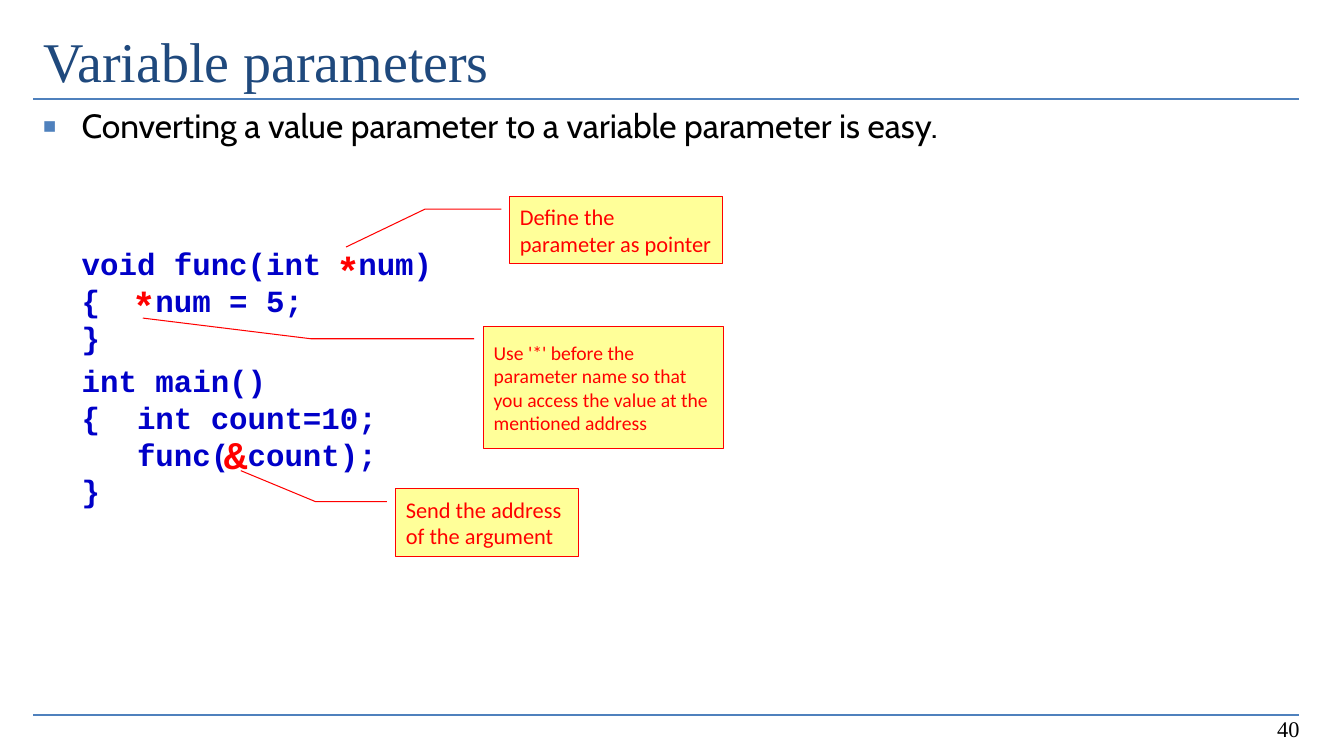
from dataclasses import dataclass

from lxml.etree import SubElement
from pptx import Presentation
from pptx.dml.color import RGBColor
from pptx.enum.shapes import MSO_CONNECTOR, MSO_SHAPE
from pptx.enum.text import MSO_ANCHOR, PP_ALIGN
from pptx.oxml.ns import qn
from pptx.slide import Slide
from pptx.text.text import TextFrame, _Paragraph
from pptx.util import Cm, Pt

COLORS = {
    "title": "1F497D",
    "rule": "4F81BD",
    "body": "000000",
    "code": "0000C8",
    "accent": "FF0000",
    "note": "FFFF99",
}
MARGIN, CONTENT_WIDTH = 0.84, 31.9
TEXT_INDENT = 0.97
CODE_LINE = 26.4
CODE = [
    # text, space before in points
    ("void func(int  num)", 70.5),
    ("{   num = 5;", 0),
    ("}", 0),
    ("int main()", 4.4),
    ("{  int count=10;", 0),
    ("   func( count);", 0),
    ("}", 0),
]


@dataclass(frozen=True)
class Annotation:
    """A note with a leader line, and the code symbol it explains."""
    note: str
    size: float
    box: tuple[float, float, float, float]
    leader: tuple[float, ...]
    symbol: str
    symbol_at: tuple[float, float]


ANNOTATIONS = [
    Annotation("Define the parameter as pointer", 16, (12.85, 4.95, 5.36, 1.7),
               (0.19, -0.04, 0.19, -0.4, 0.75, -0.77), "*", (8.48, 6.2)),
    Annotation("Use '*' before the parameter name so that you access the value "
               "at the mentioned address", 14, (12.19, 8.23, 6.05, 3.07),
               (0.1, -0.04, 0.1, -0.72, -0.07, -1.42), "*", (3.33, 7.09)),
    Annotation("Send the address of the argument", 16, (9.98, 12.32, 4.6, 1.7),
               (0.19, -0.05, 0.19, -0.44, -0.27, -0.85), "&", (5.64, 10.85)),
]


def rgb(name: str) -> RGBColor:
    return RGBColor.from_string(COLORS[name])


def write(paragraph: _Paragraph, text: str, *, size: float, font: str, color: str,
          bold: bool = False, align: PP_ALIGN = PP_ALIGN.LEFT,
          before: float = 0, line: float | None = None) -> None:
    paragraph.alignment = align
    paragraph.space_before = Pt(before)
    if line:
        paragraph.line_spacing = Pt(line)
    run = paragraph.add_run()
    run.text = text
    run.font.size = Pt(size)
    run.font.name = font
    run.font.bold = bold
    run.font.color.rgb = rgb(color)


def add_text_area(slide: Slide, left: float, top: float, width: float, height: float,
                  anchor: MSO_ANCHOR = MSO_ANCHOR.TOP) -> TextFrame:
    frame = slide.shapes.add_textbox(Cm(left), Cm(top), Cm(width), Cm(height)).text_frame
    frame.word_wrap = True
    frame.vertical_anchor = anchor
    return frame


def add_square_bullet(paragraph: _Paragraph) -> None:
    properties = paragraph._p.get_or_add_pPr()
    properties.set("marL", str(Cm(TEXT_INDENT)))
    properties.set("indent", str(-Cm(TEXT_INDENT)))
    bullet_color = SubElement(properties, qn("a:buClr"))
    SubElement(bullet_color, qn("a:srgbClr"), val=COLORS["rule"])
    SubElement(properties, qn("a:buSzPct"), val="65000")
    SubElement(properties, qn("a:buFont"), typeface="Arial")
    SubElement(properties, qn("a:buChar"), char="■")


def add_rule(slide: Slide, y: float) -> None:
    rule = slide.shapes.add_connector(MSO_CONNECTOR.STRAIGHT, Cm(MARGIN), Cm(y),
                                      Cm(MARGIN + CONTENT_WIDTH), Cm(y))
    rule.line.color.rgb = rgb("rule")
    rule.line.width = Pt(1.5)
    SubElement(rule._element.spPr, qn("a:effectLst"))


def add_title(slide: Slide) -> None:
    title = slide.shapes.title
    title.left, title.top = Cm(MARGIN), Cm(0.43)
    title.width, title.height = Cm(CONTENT_WIDTH), Cm(2.97)
    frame = title.text_frame
    frame.vertical_anchor = MSO_ANCHOR.TOP
    frame.margin_top = Cm(0.25)
    write(frame.paragraphs[0], "Variable parameters", size=40,
          font="Times New Roman", color="title")


def add_body(slide: Slide) -> None:
    frame = add_text_area(slide, MARGIN, 2.77, CONTENT_WIDTH, 14.43)
    statement = frame.paragraphs[0]
    add_square_bullet(statement)
    write(statement, "Converting a value parameter to a variable parameter is easy.",
          size=24, font="Cabin", color="body", line=22)
    for text, before in CODE:
        code_line = frame.add_paragraph()
        code_line._p.get_or_add_pPr().set("marL", str(Cm(TEXT_INDENT)))
        write(code_line, text, size=22, font="Courier New", color="code", bold=True,
              before=before, line=CODE_LINE)


def add_annotation(slide: Slide, annotation: Annotation) -> None:
    callout = slide.shapes.add_shape(MSO_SHAPE.LINE_CALLOUT_2,
                                     *(Cm(length) for length in annotation.box))
    for index, value in enumerate(annotation.leader):
        callout.adjustments[index] = value
    callout.shadow.inherit = False
    callout.fill.solid()
    callout.fill.fore_color.rgb = rgb("note")
    callout.line.color.rgb = rgb("accent")
    callout.line.width = Pt(0.75)
    callout.text_frame.word_wrap = True
    callout.text_frame.vertical_anchor = MSO_ANCHOR.MIDDLE
    write(callout.text_frame.paragraphs[0], annotation.note, size=annotation.size,
          font="Calibri", color="accent")

    symbol = add_text_area(slide, *annotation.symbol_at, 0.58, 1.19)
    symbol.margin_left = symbol.margin_right = 0
    symbol.margin_top = symbol.margin_bottom = 0
    write(symbol.paragraphs[0], annotation.symbol, size=28, font="Courier New",
          color="accent", bold=True, line=33.6)


def main() -> None:
    presentation = Presentation()
    presentation.slide_width, presentation.slide_height = Cm(33.87), Cm(19.05)
    slide = presentation.slides.add_slide(presentation.slide_layouts[5])

    # Header and footer rules
    for y in (2.49, 18.01):
        add_rule(slide, y)

    # Title, statement and code
    add_title(slide)
    add_body(slide)

    # Notes with the symbols they explain
    for annotation in ANNOTATIONS:
        add_annotation(slide, annotation)

    # Page number
    page_number = add_text_area(slide, 25.1, 17.55, 7.9, 1.27, MSO_ANCHOR.BOTTOM)
    write(page_number.paragraphs[0], "40", size=16, font="Times New Roman",
          color="body", align=PP_ALIGN.RIGHT)

    presentation.save("out.pptx")


if __name__ == "__main__":
    main()
